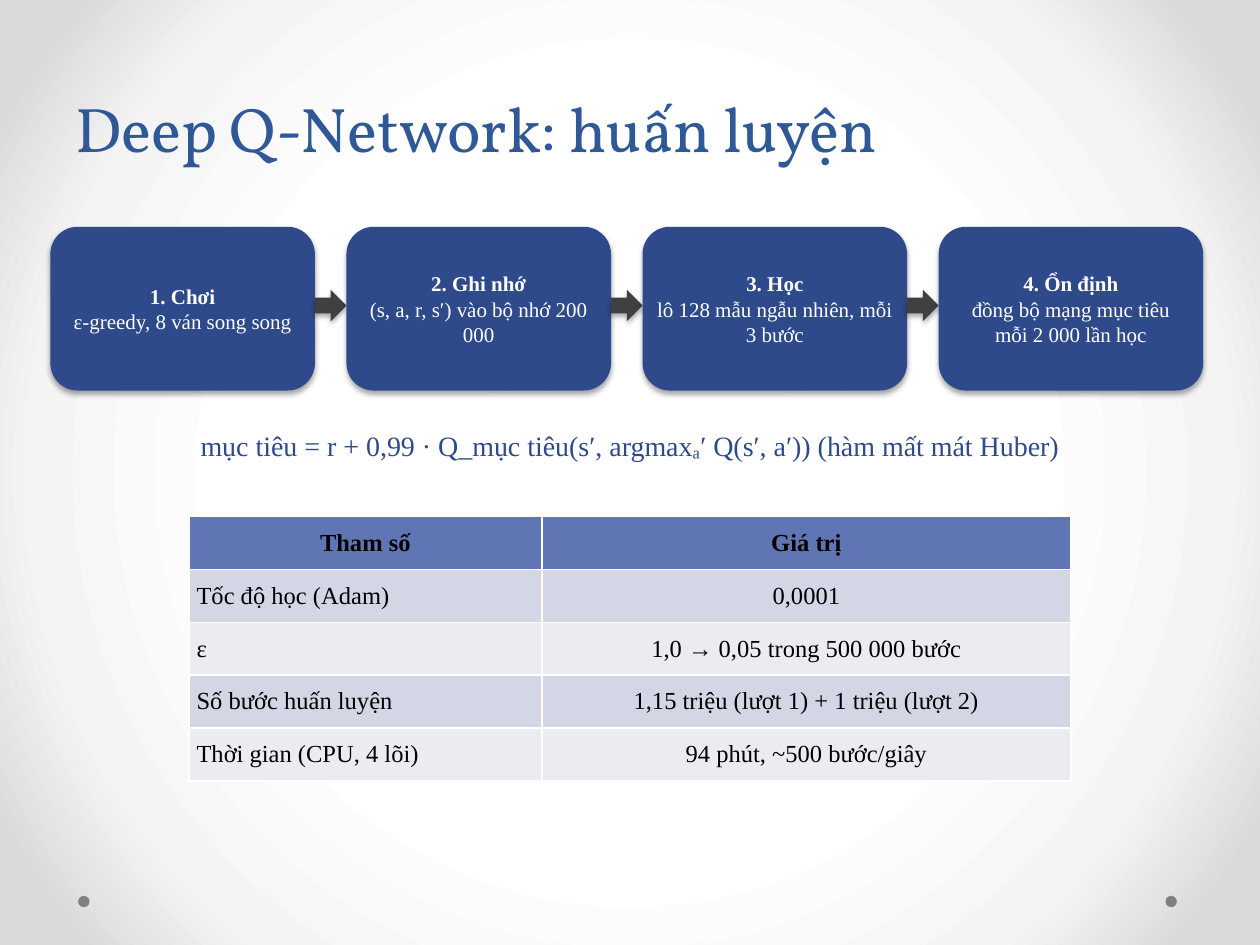
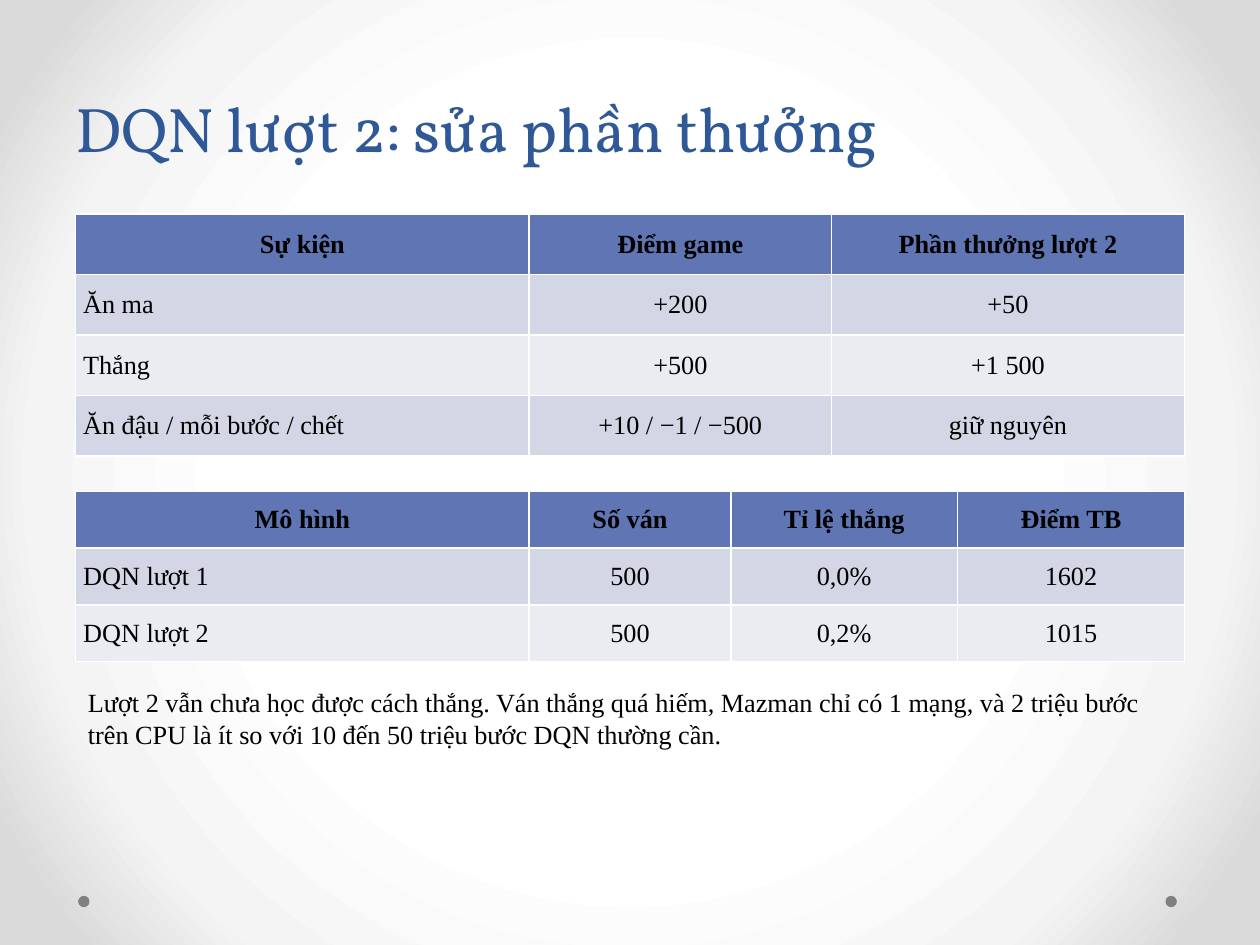
from pptx import Presentation
from pptx.dml.color import RGBColor
from pptx.enum.shapes import MSO_SHAPE as Kind
from pptx.enum.text import MSO_ANCHOR as Anchor, MSO_AUTO_SIZE as Auto, PP_ALIGN as Align
from pptx.oxml import parse_xml
from pptx.oxml.ns import nsdecls, qn
from pptx.util import Pt

SERIF = "Times New Roman"
NAVY, BLACK, WHITE = "2E4A8B", "000000", "FFFFFF"
HEAD, BANDS = "6076B4", ("D2D6E5", "EAECF2")
STOPS = ((50, WHITE), (76, "F4F4F4"), (92, "DADADA"))


def rgb(code):
    return RGBColor.from_string(code)


def put(item, **vals):
    for key, val in vals.items():
        setattr(item, key, val)


def pts(*nums):
    return [Pt(num) for num in nums]


def glow():
    """Radial grey gradient that starts at the slide centre."""
    stops = "".join(f'<a:gs pos="{pos * 1000}"><a:srgbClr val="{code}"/></a:gs>'
                    for pos, code in STOPS)
    return parse_xml(
        f'<a:gradFill {nsdecls("a")} rotWithShape="1"><a:gsLst>{stops}</a:gsLst>'
        '<a:path path="circle"><a:fillToRect l="50000" t="50000" r="50000" b="50000"/>'
        '</a:path></a:gradFill>')


def shade(shape):
    """Soft shadow just below the shape."""
    shape._element.spPr.append(parse_xml(
        f'<a:effectLst {nsdecls("a")}><a:outerShdw blurRad="{Pt(3.1)}" dist="{Pt(1.8)}" '
        'dir="5400000" algn="ctr" rotWithShape="0"><a:srgbClr val="000000">'
        '<a:alpha val="35000"/></a:srgbClr></a:outerShdw></a:effectLst>'))


class Deck:
    def __init__(self):
        self.prs = Presentation()
        put(self.prs, slide_width=Pt(720), slide_height=Pt(540))
        master = self.prs.slide_master
        master.background.fill.gradient()
        old = master.element.find(".//" + qn("a:gradFill"))
        old.getparent().replace(old, glow())
        self.slide = None

    def say(self, para, words, size, color=BLACK, bold=False, align=Align.LEFT, face=SERIF):
        run = para.add_run()
        run.text = words
        para.alignment = align
        put(run.font, name=face, size=Pt(size), bold=bold)
        run.font.color.rgb = rgb(color)

    def page(self, title):
        self.slide = self.prs.slides.add_slide(self.prs.slide_layouts[5])
        left, top, wide, high = pts(36, 25.92, 648, 72)
        head = self.slide.shapes.title
        put(head, left=left, top=top, width=wide, height=high)
        frame = head.text_frame
        put(frame, vertical_anchor=Anchor.BOTTOM, word_wrap=True)
        para = frame.paragraphs[0]
        para.line_spacing = Pt(58)
        self.say(para, title, 36, "2F5897", face="Vollkorn")
        for x in (666, 44.64):
            self.shape(Kind.OVAL, (x, 511.92, 6.48, 6.48), "808080")

    def shape(self, kind, area, color):
        item = self.slide.shapes.add_shape(kind, *pts(*area))
        item.fill.solid()
        item.fill.fore_color.rgb = rgb(color)
        item.line.fill.background()
        if kind == Kind.OVAL:
            item.shadow.inherit = False
        else:
            shade(item)
        return item

    def step(self, area, name, note):
        frame = self.shape(Kind.ROUNDED_RECTANGLE, area, NAVY).text_frame
        put(frame, word_wrap=True, vertical_anchor=Anchor.MIDDLE)
        put(frame, **{f"margin_{side}": Pt(3.6) for side in ("left", "top", "right", "bottom")})
        self.say(frame.paragraphs[0], name, 12, WHITE, True, Align.CENTER)
        self.say(frame.add_paragraph(), note, 12, WHITE, False, Align.CENTER)

    def flow(self, steps, left=28.8, top=129.6, wide=151.2, high=93.6, gap=18):
        """Row of steps with an arrow filling each gap."""
        for i, (name, note) in enumerate(steps):
            x = left + i * (wide + gap)
            if i:
                mid = top + high / 2 - 10.8
                self.shape(Kind.RIGHT_ARROW, (x - gap, mid, gap, gap), "404040")
            self.step((x, top, wide, high), name, note)

    def text(self, area, words, size, **style):
        frame = self.slide.shapes.add_textbox(*pts(*area)).text_frame
        put(frame, word_wrap=True, auto_size=Auto.SHAPE_TO_FIT_TEXT)
        self.say(frame.paragraphs[0], words, size, **style)

    def table(self, left, top, cols, high, rows, size):
        area = pts(left, top, sum(cols), high * len(rows))
        grid = self.slide.shapes.add_table(len(rows), len(cols), *area).table
        for col, wide in zip(grid.columns, cols):
            col.width = Pt(wide)
        for r, row in enumerate(rows):
            grid.rows[r].height = Pt(high)
            for c, words in enumerate(row):
                cell = grid.cell(r, c)
                cell.fill.solid()
                cell.fill.fore_color.rgb = rgb(BANDS[(r - 1) % 2] if r else HEAD)
                put(cell, vertical_anchor=Anchor.MIDDLE, margin_left=Pt(4.32),
                    margin_right=Pt(4.32), margin_top=Pt(3.6), margin_bottom=Pt(3.6))
                align = Align.LEFT if r and not c else Align.CENTER
                self.say(cell.text_frame.paragraphs[0], words, size, bold=not r, align=align)


def main():
    deck = Deck()

    deck.page("Deep Q-Network: huấn luyện")
    deck.flow((
        ("1. Chơi", "ε-greedy, 8 ván song song"),
        ("2. Ghi nhớ", "(s, a, r, s′) vào bộ nhớ 200 000"),
        ("3. Học", "lô 128 mẫu ngẫu nhiên, mỗi 3 bước"),
        ("4. Ổn định", "đồng bộ mạng mục tiêu mỗi 2 000 lần học"),
    ))
    deck.text((28.8, 241.2, 662.4, 36),
              "mục tiêu = r + 0,99 · Q_mục tiêu(s′, argmaxₐ′ Q(s′, a′)) (hàm mất mát Huber)",
              16, color=NAVY, align=Align.CENTER)
    deck.table(108, 295.2, (201.6, 302.4), 30.24, (
        ("Tham số", "Giá trị"),
        ("Tốc độ học (Adam)", "0,0001"),
        ("ε", "1,0 → 0,05 trong 500 000 bước"),
        ("Số bước huấn luyện", "1,15 triệu (lượt 1) + 1 triệu (lượt 2)"),
        ("Thời gian (CPU, 4 lõi)", "94 phút, ~500 bước/giây"),
    ), 14)

    deck.page("DQN lượt 2: sửa phần thưởng")
    deck.table(43.2, 122.4, (259.2, 172.8, 201.6), 34.56, (
        ("Sự kiện", "Điểm game", "Phần thưởng lượt 2"),
        ("Ăn ma", "+200", "+50"),
        ("Thắng", "+500", "+1 500"),
        ("Ăn đậu / mỗi bước / chết", "+10 / −1 / −500", "giữ nguyên"),
    ), 15)
    deck.table(43.2, 280.8, (259.2, 115.2, 129.6, 129.6), 32.4, (
        ("Mô hình", "Số ván", "Tỉ lệ thắng", "Điểm TB"),
        ("DQN lượt 1", "500", "0,0%", "1602"),
        ("DQN lượt 2", "500", "0,2%", "1015"),
    ), 15)
    deck.text((43.2, 388.8, 633.6, 79.2),
              "Lượt 2 vẫn chưa học được cách thắng. Ván thắng quá hiếm, Mazman chỉ có 1 mạng, "
              "và 2 triệu bước trên CPU là ít so với 10 đến 50 triệu bước DQN thường cần.", 15)

    deck.prs.save("out.pptx")


if __name__ == "__main__":
    main()
